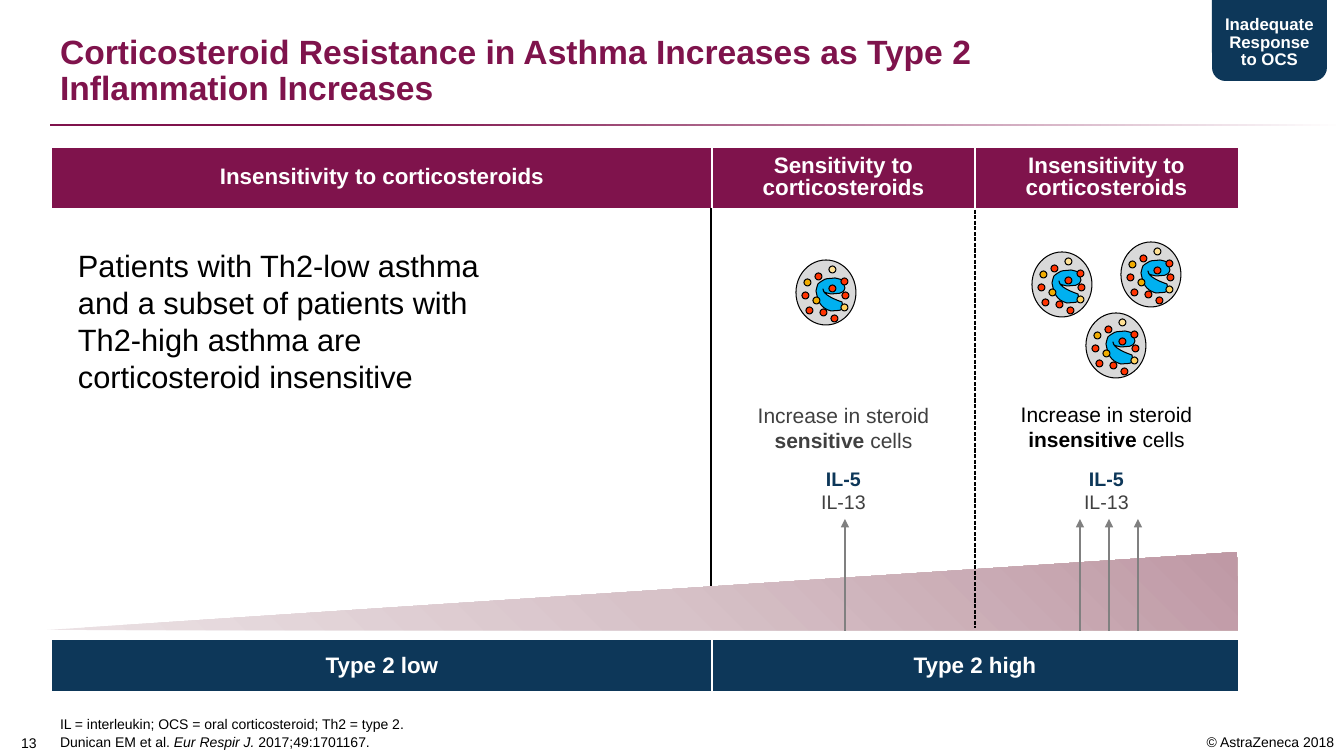
import dataclasses

import pptx
import pptx.dml.color
import pptx.enum.dml
import pptx.enum.shapes
import pptx.enum.text
import pptx.oxml
import pptx.oxml.ns
import pptx.util

SHAPE = pptx.enum.shapes.MSO_SHAPE
ALIGN = pptx.enum.text.PP_ALIGN
ANCHOR = pptx.enum.text.MSO_ANCHOR
SCALE = 914400 / 100.8  # EMU in one px
PLAIN_TABLE = "{2D5ABB26-0587-4C30-8999-92F81FD0307C}"  # no style, no grid


@dataclasses.dataclass(frozen=True)
class Theme:
    font: str = "Arial"
    plum: str = "7F134C"
    navy: str = "0D3759"
    white: str = "FFFFFF"
    black: str = "000000"
    dark_grey: str = "404040"
    arrow_grey: str = "808080"
    cell_grey: str = "D9D9D9"
    nucleus: str = "00B0F0"
    red: str = "FF3300"
    amber: str = "F0AB00"
    gold: str = "FFD05D"
    cream: str = "FFE093"
    wedge: tuple = ((0, "BF99A5"), (50, "D7C2C8"), (100, "EBE1E4"))
    title: int = 24
    body: int = 22
    band: int = 16
    label: int = 15
    cytokine: int = 14
    badge: int = 12
    small: int = 10


T = Theme()

# Offsets in px from the centre of a cell
GRANULES = {
    T.red: [(-7, -15), (20, 4), (-20, 4), (7, -3), (-16, 19), (-2, 21), (9, 27), (19, -10)],
    T.amber: [(-9, 9), (-18, -9)],
    T.cream: [(7, -22)],
    T.gold: [(19, 16)],
}
NUCLEUS_START = (-3, -3)
NUCLEUS_CURVES = [
    ((-3, -2), (-3, -1), (-2, 0)), ((0, 1), (5, 2), (5, 2)),
    ((12, 1), (17, 3), (19, -4)), ((18, -6), (18, -10), (16, -12)),
    ((14, -13), (9, -14), (9, -14)), ((1, -13), (0, -14), (-4, -11)),
    ((-6, -10), (-7, -9), (-8, -8)), ((-9, -6), (-10, -1), (-10, -1)),
    ((-8, 9), (-6, 16), (5, 19)), ((15, 18), (18, 20), (16, 10)),
    ((10, 8), (-3, 3), (-3, -3)),
]


def px(*lengths):
    return [pptx.util.Emu(round(length * SCALE)) for length in lengths]


def rgb(code):
    return pptx.dml.color.RGBColor.from_string(code)


def xml(text):
    head, rest = text.split(">", 1)
    slash = "/" if head.endswith("/") else ""
    return pptx.oxml.parse_xml(f"{head.rstrip('/')} {pptx.oxml.ns.nsdecls('a')}{slash}>{rest}")


class SlideBuilder:
    def __init__(self, slide, theme):
        self.slide, self.shapes, self.theme = slide, slide.shapes, theme

    def paragraph(self, target, runs, size, color, bold=False, align=ALIGN.LEFT,
                  spacing=None, before=None):
        """Write runs given as (text, font overrides) or as one string."""
        target.alignment = align
        if spacing:
            target.line_spacing = spacing
        if before:
            target.space_before = pptx.util.Pt(before)
        font = target.font
        font.name, font.size, font.bold = self.theme.font, pptx.util.Pt(size), bold
        font.color.rgb = rgb(color)
        if isinstance(runs, str):
            target.text = runs
            return
        for text, changes in runs:
            run = target.add_run()
            run.text = text
            for key, value in changes.items():
                setattr(run.font, key, value)

    def fill_frame(self, frame, paragraphs, anchor, insets=(10, 5, 10, 5)):
        frame.word_wrap = True
        frame.vertical_anchor = anchor
        (frame.margin_left, frame.margin_top,
         frame.margin_right, frame.margin_bottom) = px(*insets)
        for i, options in enumerate(paragraphs):
            self.paragraph(frame.add_paragraph() if i else frame.paragraphs[0], **options)

    def title(self, box, text):
        heading = self.shapes.title
        heading.left, heading.top, heading.width, heading.height = px(*box)
        heading.text_frame.auto_size = pptx.enum.text.MSO_AUTO_SIZE.NONE
        self.fill_frame(heading.text_frame,
                        [dict(runs=text, size=self.theme.title, color=self.theme.plum,
                              bold=True, spacing=0.9)], ANCHOR.BOTTOM)

    def text(self, box, *paragraphs, anchor=ANCHOR.TOP, insets=(10, 5, 10, 5)):
        frame = self.shapes.add_textbox(*px(*box)).text_frame
        self.fill_frame(frame, paragraphs, anchor, insets)

    def paint(self, shape, fill, line=None):
        shape.shadow.inherit = False
        shape.fill.solid()
        shape.fill.fore_color.rgb = rgb(fill)
        if line:
            shape.line.color.rgb = rgb(line)
            shape.line.width = pptx.util.Pt(0.75)
        else:
            shape.line.fill.background()
        return shape

    def shape(self, box, fill, *paragraphs, kind=SHAPE.RECTANGLE, line=None, into=None):
        shape = self.paint((into or self.shapes).add_shape(kind, *px(*box)), fill, line)
        if paragraphs:
            self.fill_frame(shape.text_frame, paragraphs, ANCHOR.MIDDLE)
        return shape

    def outline(self, points, fill, line=None, into=None):
        first, *others = [px(*point) for point in points]
        builder = (into or self.shapes).build_freeform(*first)
        builder.add_line_segments(others, close=True)
        return self.paint(builder.convert_to_shape(), fill, line)

    def curved_outline(self, start, curves, fill, line, into):
        """Outline of cubic curves, each given as two handles and an end."""
        shape = self.outline([start] + [curve[-1] for curve in curves], fill, line, into)
        sides = list(shape._element.iter(pptx.oxml.ns.qn("a:lnTo")))
        for side, curve in zip(sides, curves):
            marks = "".join(f'<a:pt x="{x - shape.left}" y="{y - shape.top}"/>'
                            for x, y in (px(*point) for point in curve))
            side.getparent().replace(side, xml(f"<a:cubicBezTo>{marks}</a:cubicBezTo>"))

    def gradient(self, shape, stops, direction):
        shape.fill.background()
        marks = "".join(f'<a:gs pos="{at * 1000}"><a:srgbClr val="{color}"/></a:gs>'
                        for at, color in stops)
        no_fill = shape._element.spPr.find(pptx.oxml.ns.qn("a:noFill"))
        no_fill.getparent().replace(no_fill, xml(
            f"<a:gradFill><a:gsLst>{marks}</a:gsLst>{direction}</a:gradFill>"))

    def vertical(self, x, start, end, color, width=1.0, dash=None, arrow=False):
        line = self.shapes.add_connector(
            pptx.enum.shapes.MSO_CONNECTOR.STRAIGHT, *px(x, start, x, end))
        line.line.color.rgb, line.line.width = rgb(color), pptx.util.Pt(width)
        if dash:
            line.line.dash_style = dash
        if arrow:
            line.line._get_or_add_ln().append(xml('<a:tailEnd type="triangle"/>'))
        line._element.spPr.append(xml("<a:effectLst/>"))

    def band(self, left, top, height, fill, columns, side_inset=10, spacing=None):
        """One-row table from (text, width) columns."""
        widths = [width for _, width in columns]
        table = self.shapes.add_table(
            1, len(columns), *px(left, top, sum(widths), height)).table
        table.first_row = table.horz_banding = False
        next(table._tbl.iter(pptx.oxml.ns.qn("a:tableStyleId"))).text = PLAIN_TABLE
        for i, (text, width) in enumerate(columns):
            table.columns[i].width = px(width)[0]
            cell = table.cell(0, i)
            cell.fill.solid()
            cell.fill.fore_color.rgb = rgb(fill)
            cell.vertical_anchor = ANCHOR.MIDDLE
            cell.margin_left, cell.margin_right = px(side_inset, side_inset)
            self.paragraph(cell.text_frame.paragraphs[0], text, self.theme.band,
                           self.theme.white, True, ALIGN.CENTER, spacing)
            for side, shown in (("R", i < len(columns) - 1), ("L", i > 0)):
                if shown:
                    cell._tc.get_or_add_tcPr().insert(0, xml(
                        f'<a:ln{side} w="12700"><a:solidFill><a:srgbClr '
                        f'val="{self.theme.white}"/></a:solidFill></a:ln{side}>'))

    def immune_cell(self, x, y):
        group = self.shapes.add_group_shape().shapes
        style = dict(line=self.theme.black, into=group)

        def place(point):
            return x + point[0], y + point[1]

        self.shape((x - 30, y - 32, 60, 65), self.theme.cell_grey, kind=SHAPE.OVAL, **style)
        self.curved_outline(place(NUCLEUS_START),
                            [[place(point) for point in curve] for curve in NUCLEUS_CURVES],
                            self.theme.nucleus, **style)
        for color, offsets in GRANULES.items():
            for dx, dy in offsets:
                self.shape((x + dx - 4, y + dy - 4, 7, 7), color, kind=SHAPE.OVAL, **style)


def main():
    deck = pptx.Presentation()
    deck.slide_width, deck.slide_height = px(1344, 756)
    page = SlideBuilder(deck.slides.add_slide(deck.slide_layouts[5]), T)
    small = dict(size=T.small, color=T.black)

    page.text((1120, 729, 224, 27), dict(runs="© AstraZeneca 2018", align=ALIGN.RIGHT, **small))
    rule = page.shape((50, 124, 1294, 2), T.plum)
    page.gradient(rule, [(26, T.plum), (100, T.white)], '<a:lin ang="0" scaled="0"/>')
    page.title((50, 25, 1243, 88),
               "Corticosteroid Resistance in Asthma Increases as Type 2\vInflammation Increases")
    page.text((0, 727, 53, 29), dict(runs="13", align=ALIGN.CENTER, **small),
              anchor=ANCHOR.BOTTOM, insets=(10, 5, 5, 5))
    page.text((50, 645, 1087, 111),
              dict(runs="IL = interleukin; OCS = oral corticosteroid; Th2 = type 2.",
                   spacing=0.9, **small),
              dict(runs=[("Dunican EM et al. ", {}), ("Eur Respir J. ", {"italic": True}),
                         ("2017;49:1701167.", {})], spacing=0.9, before=2, **small),
              anchor=ANCHOR.BOTTOM)

    badge = (1212, 0, 115, 81)
    page.shape(badge, T.navy, kind=SHAPE.ROUND_2_SAME_RECTANGLE).rotation = 180
    page.text(badge, dict(runs="Inadequate Response to OCS", size=T.badge, color=T.white,
                          bold=True, align=ALIGN.CENTER, spacing=0.85),
              anchor=ANCHOR.MIDDLE, insets=(10, 10, 10, 5))

    for left, top, kind, color in ((739, 408, "sensitive", T.dark_grey),
                                   (1002, 407, "insensitive", T.black)):
        page.shape((left, top, 209, 39), T.white,
                   dict(runs=[("Increase in steroid ", {}), (kind, {"bold": True}),
                              (" cells", {})],
                        size=T.label, color=color, align=ALIGN.CENTER))
    page.text((68, 242, 433, 159),
              dict(runs="Patients with Th2-low asthma and a subset of patients with "
                        "Th2-high asthma are corticosteroid insensitive",
                   size=T.body, color=T.black))

    page.vertical(711, 202, 629, T.black)
    wedge = page.outline([(47, 630), (1237, 552), (1238, 630)], T.plum)
    page.gradient(wedge, T.wedge, '<a:path path="circle">'
                  '<a:fillToRect l="100000" b="100000"/></a:path>')
    page.vertical(975, 204, 628, T.black, dash=pptx.enum.dml.MSO_LINE.SQUARE_DOT)

    for left, arrows in ((806, [845]), (1069, [1080, 1109, 1138])):
        cytokine = dict(size=T.cytokine, align=ALIGN.CENTER)
        page.shape((left, 471, 75, 38), T.white,
                   dict(runs="IL-5", color=T.navy, bold=True, **cytokine),
                   dict(runs="IL-13", color=T.dark_grey, **cytokine))
        for x in arrows:
            page.vertical(x, 631, 519, T.arrow_grey, 1.5, arrow=True)

    page.band(52, 640, 51, T.navy, [("Type 2 low", 660), ("Type 2 high", 526)])
    page.band(52, 148, 60, T.plum,
              [("Insensitivity to corticosteroids", 660),
               ("Sensitivity to corticosteroids", 263),
               ("Insensitivity to corticosteroids", 263)],
              side_inset=0, spacing=pptx.util.Pt(16))
    for centre in ((826, 292), (1062, 284), (1116, 345), (1151, 274)):
        page.immune_cell(*centre)

    deck.save("out.pptx")


if __name__ == "__main__":
    main()
